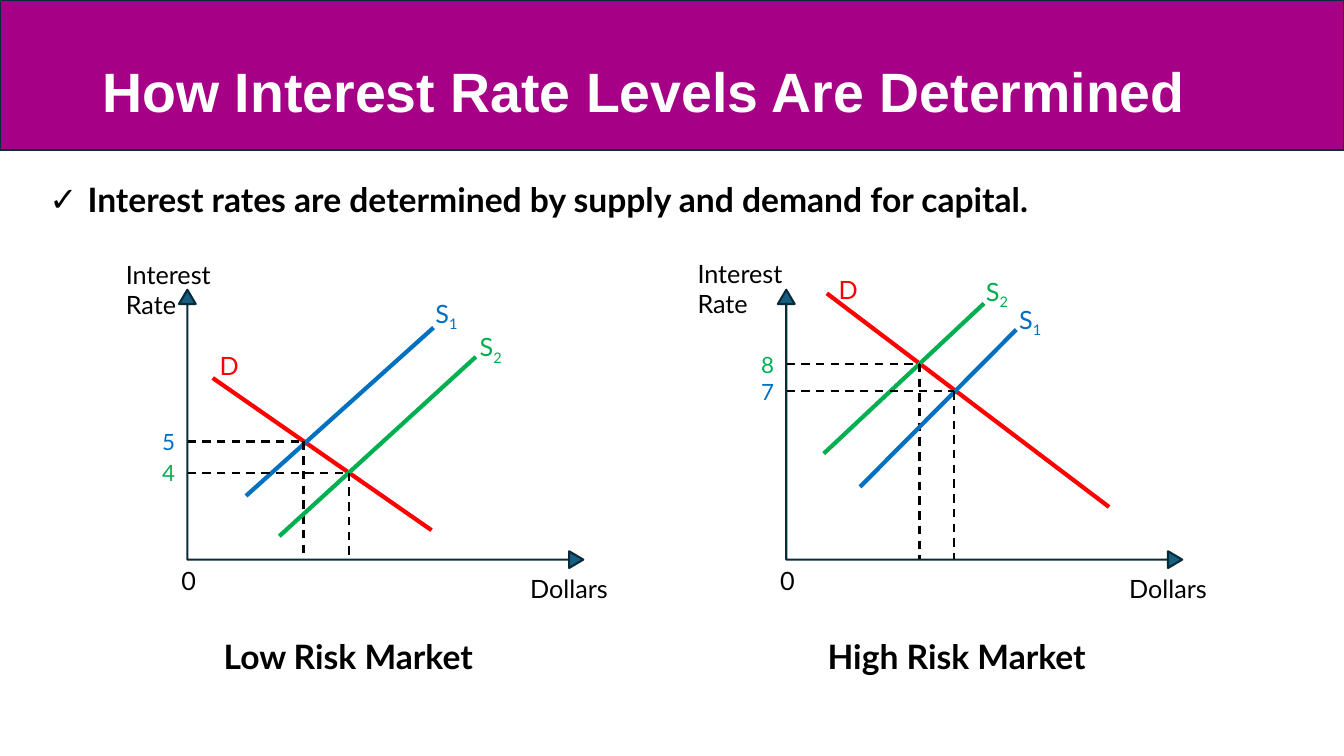
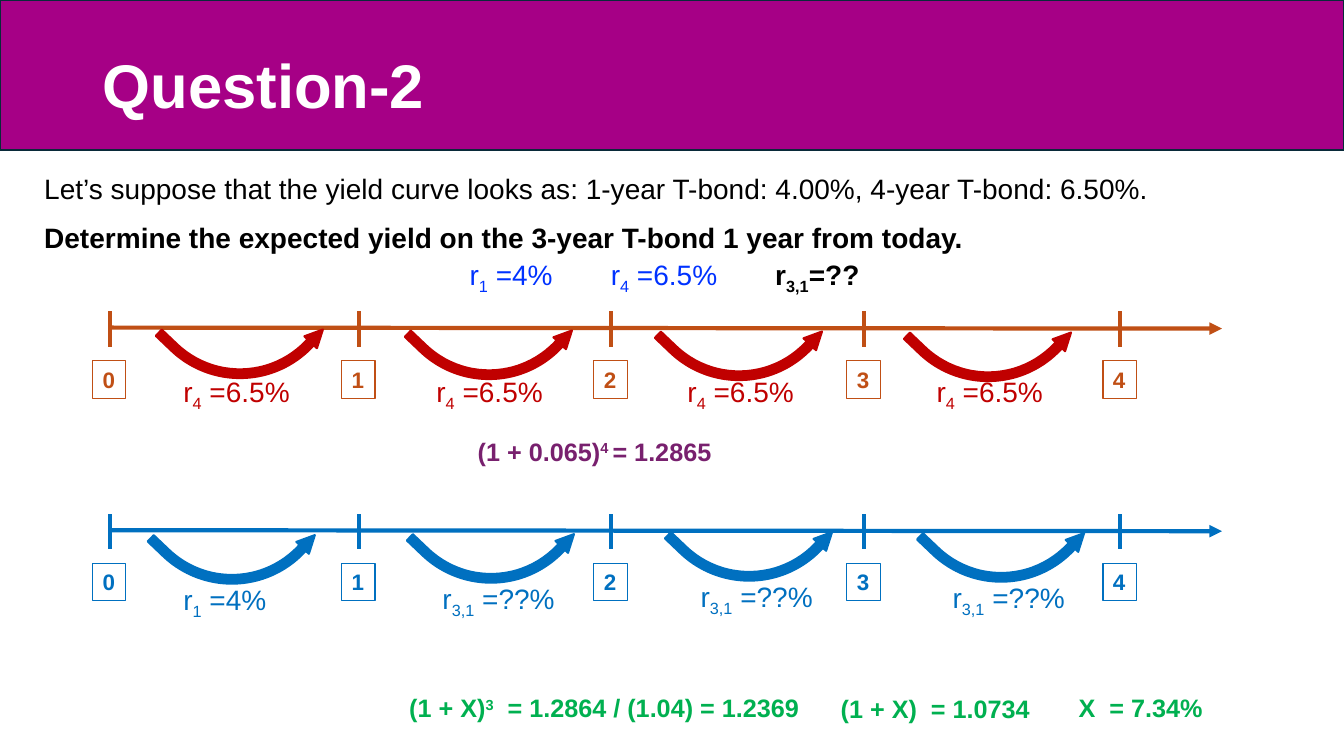
from dataclasses import dataclass

from lxml.etree import SubElement
from pptx import Presentation
from pptx.dml.color import RGBColor
from pptx.enum.dml import MSO_LINE_DASH_STYLE as Dash
from pptx.enum.shapes import MSO_CONNECTOR as Connector, MSO_SHAPE as Shape
from pptx.enum.text import MSO_ANCHOR as Anchor
from pptx.oxml.ns import qn
from pptx.util import Pt

PX = 9144  # 100 px to the inch


@dataclass(frozen=True)
class Theme:
    band: str = "A60086"
    edge: str = "092A39"
    axis: str = "156082"
    white: str = "FFFFFF"
    black: str = "000000"
    red: str = "FF0000"
    green: str = "00B050"
    blue: str = "0070C0"
    bright_blue: str = "0032FF"
    orange: str = "C04F15"
    dark_red: str = "C00000"
    purple: str = "78206E"
    sans: str = "Arial"
    body: str = "Lato"
    heading: int = 24
    formula: int = 20
    label: int = 18
    small: int = 16


theme = Theme()


def add_text(slide, box, text, size, color, bold=False, font=theme.sans,
             shift=-25, wrap=False):
    """Add a text box; every second part between bars is raised or lowered by shift percent."""
    textbox = slide.shapes.add_textbox(*(value * PX for value in box))
    frame = textbox.text_frame
    frame.word_wrap = wrap
    for index, part in enumerate(text.split("|")):
        run = frame.paragraphs[0].add_run()
        run.text = part
        run.font.name = font
        run.font.size = Pt(size)
        run.font.bold = bold
        run.font.color.rgb = RGBColor.from_string(color)
        if index % 2:
            run.font._element.set("baseline", str(shift * 1000))
    return textbox


def add_line(slide, start, end, color, width=3, dashed=False, arrow=False):
    points = (value * PX for value in (*start, *end))
    connector = slide.shapes.add_connector(Connector.STRAIGHT, *points)
    connector.line.color.rgb = RGBColor.from_string(color)
    connector.line.width = Pt(width)
    if dashed:
        connector.line.dash_style = Dash.DASH
    if arrow:
        SubElement(connector.line._get_or_add_ln(), qn("a:tailEnd"), type="triangle")
    SubElement(connector._element.spPr, qn("a:effectLst"))


presentation = Presentation()
presentation.slide_width = 1333 * PX
presentation.slide_height = 750 * PX

# Slides with their title bands
slides = []
for title, size, top in [
    ("How Interest Rate Levels Are Determined", 39.6, 40),
    ("Question-2", 44, 34),
]:
    slide = presentation.slides.add_slide(presentation.slide_layouts[6])
    band = slide.shapes.add_shape(Shape.RECTANGLE, 0, 0, presentation.slide_width, 149 * PX)
    band.shadow.inherit = False
    band.fill.solid()
    band.fill.fore_color.rgb = RGBColor.from_string(theme.band)
    band.line.color.rgb = RGBColor.from_string(theme.edge)
    band.line.width = Pt(1.5)
    heading = add_text(slide, (92, top, 1150, 107), title, size, theme.white,
                       bold=True, wrap=True)
    heading.text_frame.vertical_anchor = Anchor.MIDDLE
    heading.text_frame.paragraphs[0].line_spacing = 0.9
    slides.append(slide)
market_slide, question_slide = slides

# Slide 1: supply and demand in two markets
statement = add_text(
    market_slide, (39, 173, 1255, 91),
    "Interest rates are determined by supply and demand for capital.",
    theme.heading, theme.black, bold=True, font=theme.body, wrap=True)
properties = statement.text_frame.paragraphs[0]._p.get_or_add_pPr()
properties.set("marL", str(38 * PX))
properties.set("indent", str(-38 * PX))
SubElement(properties, qn("a:buFont"), typeface=theme.sans)
SubElement(properties, qn("a:buChar"), char="✓")

FLOOR = 555
# Supply: name, colour, low end, high end, label position, equilibrium, rate
markets = [
    dict(axis=186, rate_title=(115, 252), caption=("Low Risk Market", 212, 268),
         demand=((211, 375), (428, 526)), demand_label=(208, 343),
         supplies=[
             ("S|1", theme.blue, (244, 492), (430, 325), (422, 291), (301, 438), "5"),
             ("S|2", theme.green, (277, 532), (472, 354), (466, 324), (346, 469), "4"),
         ]),
    dict(axis=780, rate_title=(682, 251), caption=("High Risk Market", 811, 276),
         demand=((820, 291), (1100, 503)), demand_label=(822, 267),
         supplies=[
             ("S|2", theme.green, (817, 450), (976, 301), (968, 269), (912, 361), "8"),
             ("S|1", theme.blue, (853, 483), (1008, 327), (1001, 297), (946, 388), "7"),
         ]),
]
for market in markets:
    axis = market["axis"]
    add_line(market_slide, *market["demand"], theme.red)
    add_text(market_slide, (*market["demand_label"], 38, 40), "D", theme.label,
             theme.red, font=theme.body)
    for name, color, low, high, label, (x, y), rate in market["supplies"]:
        add_line(market_slide, low, high, color)
        add_text(market_slide, (*label, 43, 40), name, theme.label, color, font=theme.body)
        for start, end in [((axis, y), (x, y)), ((x, y), (x, FLOOR))]:
            add_line(market_slide, start, end, theme.black, 1.5, dashed=True)
        add_text(market_slide, (axis - 35, y - 18, 32, 37), rate, theme.small, color,
                 font=theme.body)

    axes = market_slide.shapes.add_shape(
        Shape.LEFT_UP_ARROW, (axis + 54) * PX, 225 * PX, 276 * PX, 401 * PX)
    axes.rotation = 90
    for index, value in enumerate((0, 0.03, 0.051)):
        axes.adjustments[index] = value
    axes.shadow.inherit = False
    axes.fill.solid()
    axes.fill.fore_color.rgb = RGBColor.from_string(theme.axis)
    axes.line.color.rgb = RGBColor.from_string(theme.edge)
    axes.line.width = Pt(1.5)
    add_text(market_slide, (axis + 330, 564, 98, 40), "Dollars", theme.label,
             theme.black, font=theme.body)
    add_text(market_slide, (axis - 16, 556, 34, 40), "0", theme.label,
             theme.black, font=theme.body)
    add_text(market_slide, (*market["rate_title"], 120, 70), "Interest Rate", theme.label,
             theme.black, font=theme.body, wrap=True)
    caption, left, width = market["caption"]
    add_text(market_slide, (left, 626, width, 50), caption, theme.heading,
             theme.black, bold=True, font=theme.body)

# Slide 2: question and two timelines
question = add_text(
    question_slide, (34, 165, 1266, 93),
    "Let’s suppose that the yield curve looks as: 1-year T-bond: 4.00%, "
    "4-year T-bond: 6.50%.",
    theme.formula, theme.black, wrap=True)
task = question.text_frame.add_paragraph()
task.text = "Determine the expected yield on the 3-year T-bond 1 year from today."
task.font.name = theme.sans
task.font.size = Pt(theme.formula)
task.font.bold = True
task.font.color.rgb = RGBColor.from_string(theme.black)
for paragraph in question.text_frame.paragraphs:
    paragraph.space_after = Pt(11.2)

for text, left, width, color, bold in [
    ("r|1| =4%", 456, 104, theme.bright_blue, False),
    ("r|4| =6.5%", 596, 128, theme.bright_blue, False),
    ("r|3,1|=??", 759, 108, theme.black, True),
]:
    add_text(question_slide, (left, 251, width, 44), text, theme.formula, color, bold)

YEARS = [109, 356, 606, 857, 1111]
# Steps: arrow left, arrow top, label left, label top, label width, label
timelines = [
    (325, theme.orange, theme.dark_red, [
        (181, 271, 172, 367, 128, "r|4| =6.5%"),
        (428, 272, 423, 367, 128, "r|4| =6.5%"),
        (676, 273, 672, 367, 128, "r|4| =6.5%"),
        (923, 274, 919, 367, 128, "r|4| =6.5%"),
    ]),
    (526, theme.blue, theme.blue, [
        (173, 475, 172, 573, 104, "r|1| =4%"),
        (430, 474, 429, 572, 136, "r|3,1| =??%"),
        (686, 472, 685, 570, 136, "r|3,1| =??%"),
        (936, 473, 935, 571, 136, "r|3,1| =??%"),
    ]),
]
for y, line_color, step_color, steps in timelines:
    add_line(question_slide, (YEARS[0], y), (1212, y + 1), line_color, arrow=True)
    for year, x in enumerate(YEARS):
        add_line(question_slide, (x, y - 16), (x, y + 19), line_color)
        year_box = add_text(question_slide, (x - 17, y + 33, 33, 37), str(year),
                            theme.small, line_color, bold=True)
        year_box.line.color.rgb = RGBColor.from_string(line_color)
        year_box.line.width = Pt(0.75)
    for left, top, label_left, label_top, label_width, label in steps:
        arrow = question_slide.shapes.add_shape(
            Shape.BENT_ARROW, left * PX, top * PX, 119 * PX, 124 * PX)
        arrow.rotation = 133.7
        arrow._element.spPr.find(qn("a:xfrm")).set("flipH", "1")
        for index, value in enumerate((0.072, 0.072, 0.147, 0.83)):
            arrow.adjustments[index] = value
        arrow.shadow.inherit = False
        arrow.fill.solid()
        arrow.fill.fore_color.rgb = RGBColor.from_string(step_color)
        arrow.line.color.rgb = RGBColor.from_string(step_color)
        arrow.line.width = Pt(1.5)
        add_text(question_slide, (label_left, label_top, label_width, 44), label,
                 theme.formula, step_color)

for text, left, top, width, color in [
    ("(1 + 0.065)|4 |= 1.2865", 464, 428, 263, theme.purple),
    ("(1 + X)|3|  = 1.2864 / (1.04) = 1.2369", 396, 682, 419, theme.green),
    ("(1 + X)  = 1.0734", 824, 683, 210, theme.green),
    ("X  = 7.34%", 1060, 682, 144, theme.green),
]:
    add_text(question_slide, (left, top, width, 40), text, theme.label, color,
             bold=True, shift=30)

presentation.save("out.pptx")
